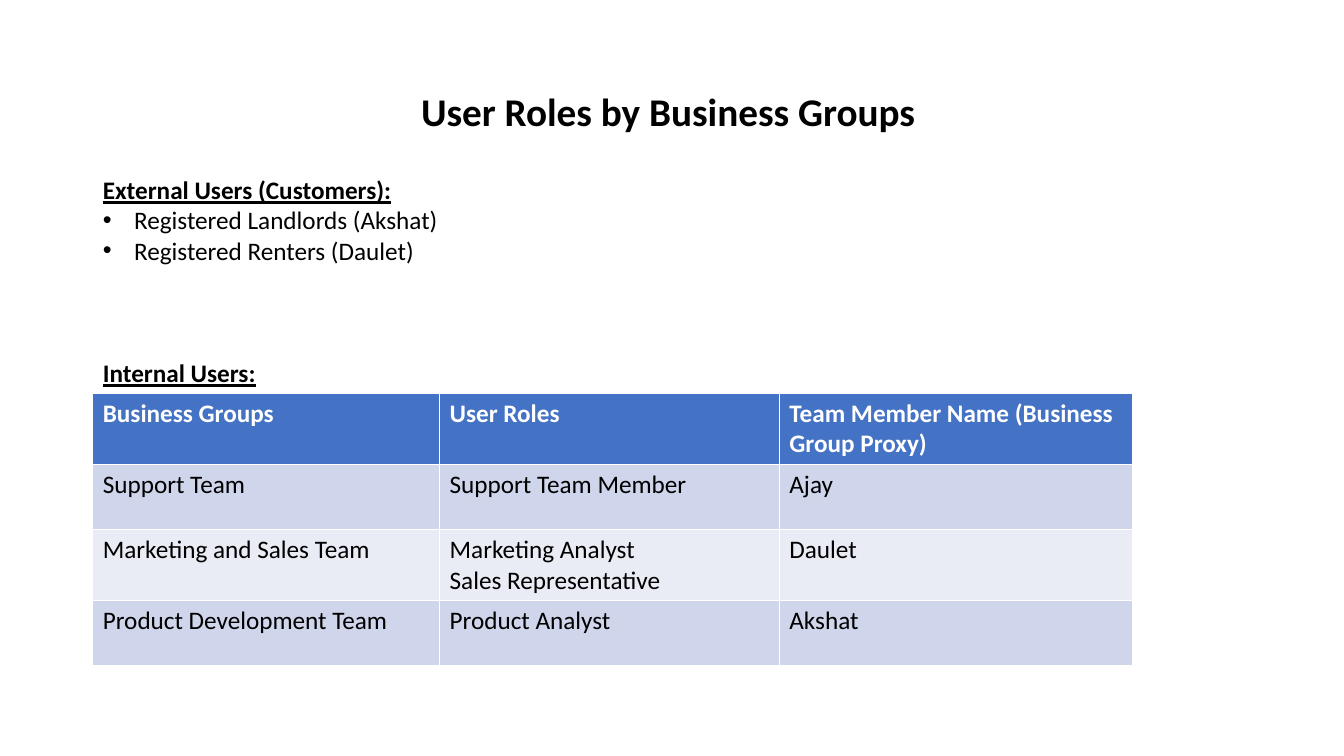
from lxml import etree
from pptx import Presentation
from pptx import util as u
from pptx.dml.color import RGBColor
from pptx.enum import text
from pptx.oxml.ns import qn

COLORS = {
    "ink": "000000",
    "header_text": "FFFFFF",
    "header": "4472C4",
    "odd_row": "CFD5EA",
    "even_row": "E9EBF5",
}
EXTERNAL_USERS = ["Registered Landlords (Akshat)", "Registered Renters (Daulet)"]
ROLES = [
    ["Business Groups", "User Roles", "Team Member Name (Business Group Proxy)"],
    ["Support Team", "Support Team Member", "Ajay"],
    ["Marketing and Sales Team", "Marketing Analyst\nSales Representative", "Daulet"],
    ["Product Development Team", "Product Analyst", "Akshat"],
]


def write(paragraph, words, size=18, color="ink", bold=False, underline=False,
          align=text.PP_ALIGN.LEFT, spacing=1.0, before=0):
    paragraph.alignment = align
    paragraph.line_spacing = spacing
    paragraph.space_before = u.Pt(before)
    paragraph.space_after = u.Pt(0)
    run = paragraph.add_run()
    run.text = words
    run.font.name = "Calibri"
    run.font.size = u.Pt(size)
    run.font.bold = bold
    run.font.underline = underline
    run.font.color.rgb = RGBColor.from_string(COLORS[color])


def set_bullet(paragraph, bulleted):
    properties = paragraph._p.get_or_add_pPr()
    indent = u.Inches(0.31) if bulleted else 0
    properties.set("marL", str(indent))
    properties.set("indent", str(-indent))
    if bulleted:
        etree.SubElement(properties, qn("a:buFont"), typeface="Arial")
        etree.SubElement(properties, qn("a:buChar"), char="•")
    else:
        etree.SubElement(properties, qn("a:buNone"))


class RolesSlide:
    left = u.Inches(0.92)
    width = u.Inches(11.5)

    def __init__(self, deck):
        self.slide = deck.slides.add_slide(deck.slide_layouts[1])

    def place(self, holder, top, height):
        holder.left, holder.top = self.left, u.Inches(top)
        holder.width, holder.height = self.width, u.Inches(height)
        holder.text_frame.word_wrap = True
        holder.text_frame.auto_size = text.MSO_AUTO_SIZE.NONE
        return holder.text_frame

    def title(self, words, top, height):
        frame = self.place(self.slide.shapes.title, top, height)
        frame.vertical_anchor = text.MSO_ANCHOR.MIDDLE
        write(frame.paragraphs[0], words, size=28, bold=True,
              align=text.PP_ALIGN.CENTER, spacing=0.9)

    def users(self, external, internal, top, height):
        frame = self.place(self.slide.placeholders[1], top, height)
        frame.vertical_anchor = text.MSO_ANCHOR.TOP
        heading = frame.paragraphs[0]
        write(heading, external, bold=True, underline=True)
        set_bullet(heading, False)
        for user in EXTERNAL_USERS:
            item = frame.add_paragraph()
            write(item, user)
            set_bullet(item, True)
        heading = frame.add_paragraph()
        write(heading, internal, bold=True, underline=True, before=66)
        set_bullet(heading, False)

    def table(self, rows, widths, top, row_height):
        grid = self.slide.shapes.add_table(
            len(rows), len(widths), self.left, u.Inches(top),
            u.Inches(sum(widths)), u.Inches(row_height * len(rows))).table
        for column, width in zip(grid.columns, widths):
            column.width = u.Inches(width)
        for r, row in enumerate(rows):
            is_header = r == 0
            fill = "header" if is_header else "odd_row" if r % 2 else "even_row"
            for c, words in enumerate(row):
                cell = grid.cell(r, c)
                cell.fill.solid()
                cell.fill.fore_color.rgb = RGBColor.from_string(COLORS[fill])
                for n, line in enumerate(words.split("\n")):
                    frame = cell.text_frame
                    paragraph = frame.add_paragraph() if n else frame.paragraphs[0]
                    write(paragraph, line, bold=is_header,
                          color="header_text" if is_header else "ink")


def main():
    deck = Presentation()
    deck.slide_width, deck.slide_height = u.Inches(13.33), u.Inches(7.5)
    roles = RolesSlide(deck)
    roles.title("User Roles by Business Groups ", top=0.93, height=0.4)
    roles.users("External Users (Customers):", "Internal Users:", top=1.68, height=2.22)
    roles.table(ROLES, widths=[3.44, 3.37, 3.5], top=3.9, row_height=0.64)
    deck.save("out.pptx")


if __name__ == "__main__":
    main()
